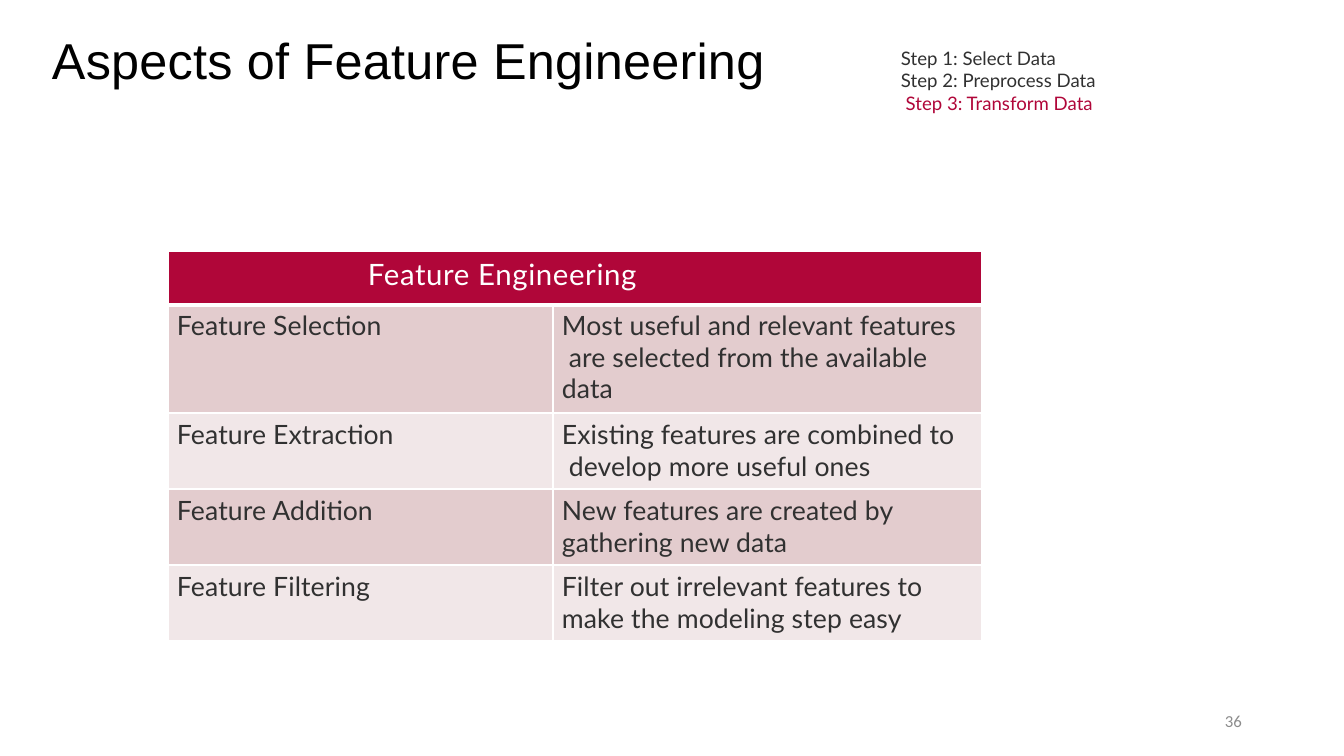
import copy

import pptx
import pptx.util
import pptx.dml.color
import pptx.enum.text
import pptx.oxml
import pptx.oxml.ns

PX = 914400 / 100.8
BLACK = pptx.dml.color.RGBColor(0x00, 0x00, 0x00)
WHITE = pptx.dml.color.RGBColor(0xFF, 0xFF, 0xFF)
DARK = pptx.dml.color.RGBColor(0x31, 0x31, 0x31)
GRAY = pptx.dml.color.RGBColor(0x8C, 0x8C, 0x8C)
CRIMSON = pptx.dml.color.RGBColor(0xB0, 0x06, 0x39)
ROSE = pptx.dml.color.RGBColor(0xE3, 0xCC, 0xCE)
PALE = pptx.dml.color.RGBColor(0xF1, 0xE7, 0xE8)


def px(n):
    return pptx.util.Emu(round(n * PX))


def write(tf, text, font, size, color, spacing, **formats):
    p = tf.paragraphs[0]
    p.text = text
    for name, value in formats.items():
        setattr(p, name, value)
    for r in p.runs:
        for name, value in {"name": font, "size": pptx.util.Pt(size), "bold": False}.items():
            setattr(r.font, name, value)
        r.font.color.rgb = color
        r.font._element.set("spc", str(spacing))
    for br in p._p.findall(pptx.oxml.ns.qn("a:br")):
        br.append(copy.deepcopy(p.runs[0].font._element))
    return p


prs = pptx.Presentation()
prs.slide_width, prs.slide_height = px(1344), px(756)
s = prs.slides.add_slide(prs.slide_layouts[6])

TOP = pptx.enum.text.MSO_ANCHOR.TOP
MIDDLE = pptx.enum.text.MSO_ANCHOR.MIDDLE
LEFT = pptx.enum.text.PP_ALIGN.LEFT
RIGHT = pptx.enum.text.PP_ALIGN.RIGHT
STEPS = "Step 1: Select Data\vStep 2: Preprocess Data\v Step 3: Transform Data"
texts = [
    ((50, 29, 811, 61), (2, 0), MIDDLE, LEFT, "Aspects of Feature Engineering", "Arial", 36, BLACK, 20),
    ((899, 47, 203, 68), (2, 0), TOP, LEFT, STEPS, "Lato", 13.3, DARK, 0),
    ((950, 701, 302, 40), (10, 10), MIDDLE, RIGHT, "36", "Calibri", 12, GRAY, 0),
]
for box, (left, right), anchor, align, text, font, size, color, spacing in texts:
    sp = s.shapes.add_textbox(*map(px, box))
    tf = sp.text_frame
    formats = {
        "word_wrap": True,
        "vertical_anchor": anchor,
        "margin_left": px(left),
        "margin_right": px(right),
        "margin_top": 0,
        "margin_bottom": 0,
    }
    for name, value in formats.items():
        setattr(tf, name, value)
    p = write(tf, text, font, size, color, spacing, alignment=align)
    if text == STEPS:
        p.runs[-1].font.color.rgb = CRIMSON

rows = [
    ("Feature Engineering", ""),
    ("Feature Selection", "Most useful and relevant features\v are selected from the available\vdata"),
    ("Feature Extraction", "Existing features are combined to\v develop more useful ones"),
    ("Feature Addition", "New features are created by\vgathering new data"),
    ("Feature Filtering", "Filter out irrelevant features to\vmake the modeling step easy"),
]
widths = [385, 429]
heights = [54, 108, 76, 76, 76]
table = s.shapes.add_table(
    len(rows), len(widths), px(168), px(251), px(sum(widths)), px(sum(heights))
).table
table.first_row = table.horz_banding = False
for column, width in zip(table.columns, widths):
    column.width = px(width)
for row, height in zip(table.rows, heights):
    row.height = px(height)
table.cell(0, 0).merge(table.cell(0, 1))

for i, row in enumerate(rows):
    for j, text in enumerate(row):
        cell = table.cell(i, j)
        formats = {
            "margin_left": px(9 if i else 200),
            "margin_right": 0,
            "margin_top": px(4 if i == 1 else 5),
            "margin_bottom": 0,
        }
        for name, value in formats.items():
            setattr(cell, name, value)
        tcPr = cell._tc.get_or_add_tcPr()
        for side in "LRTB":
            thick = (i, side) in [(0, "B"), (1, "T")]
            tcPr.append(pptx.oxml.parse_xml(
                f'<a:ln{side} {pptx.oxml.ns.nsdecls("a")} w="{38100 if thick else 12700}">'
                f'<a:solidFill><a:srgbClr val="{WHITE}"/></a:solidFill></a:ln{side}>'
            ))
        cell.fill.solid()
        cell.fill.fore_color.rgb = (ROSE if i % 2 else PALE) if i else CRIMSON
        if text:
            size, color, spacing = (19, DARK, 10) if i else (21, WHITE, 45)
            before = pptx.util.Pt(1.9 if i == 1 else 2.9)
            write(cell.text_frame, text, "Lato", size, color, spacing, space_before=before)

prs.save("out.pptx")
